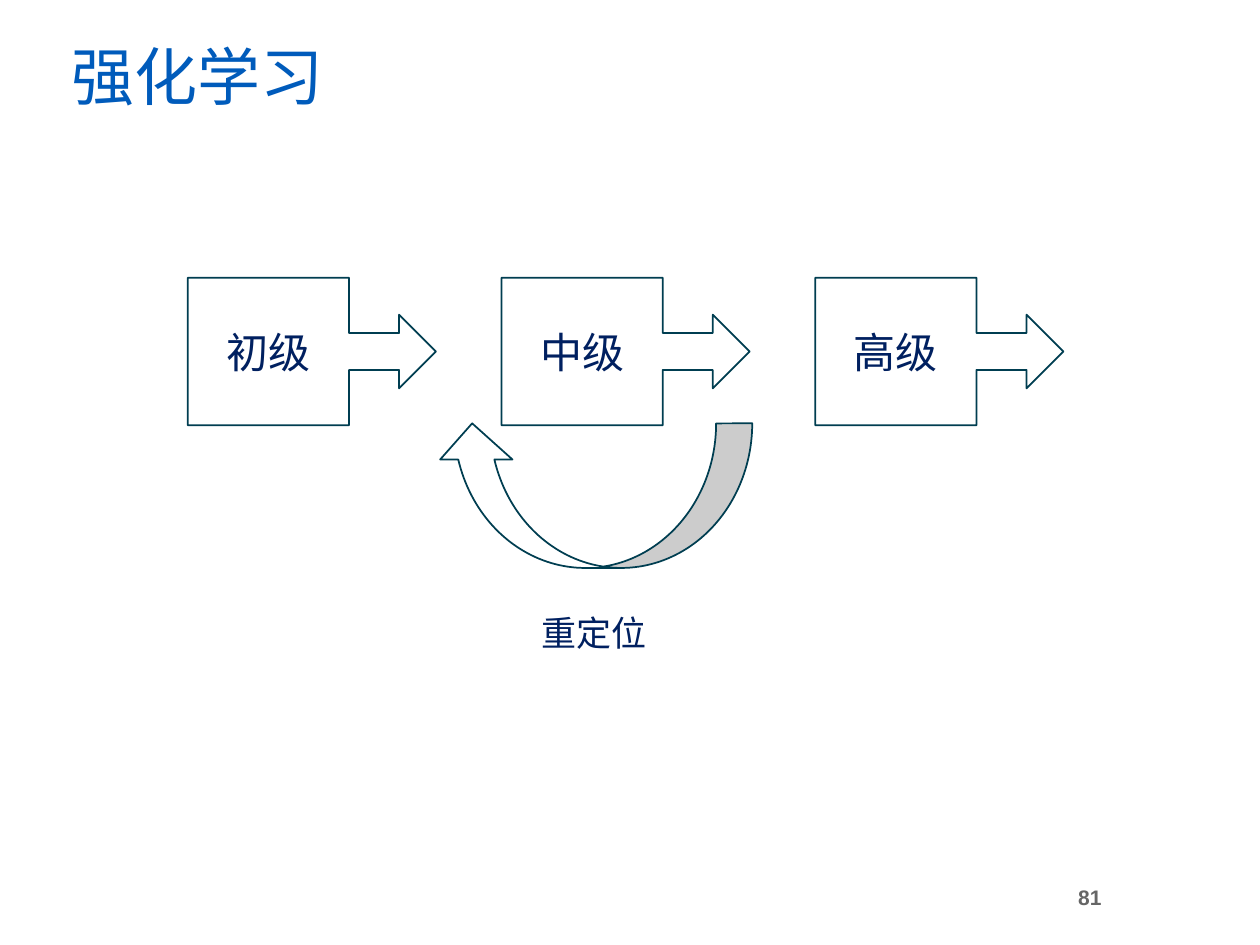
from dataclasses import dataclass

import pptx
import pptx.dml.color
import pptx.enum.shapes
import pptx.enum.text
import pptx.util

SHAPE = pptx.enum.shapes.MSO_SHAPE
ANCHOR = pptx.enum.text.MSO_ANCHOR
ALIGN = pptx.enum.text.PP_ALIGN


@dataclass(frozen=True)
class Theme:
    paper: str = "FFFFFF"
    heading: str = "005BBB"
    outline: str = "003E51"
    ink: str = "002060"
    muted: str = "666666"
    font: str = "Calibri"
    number_font: str = "Arial"
    title_size: int = 36
    stage_size: int = 24
    label_size: int = 20
    number_size: int = 12


def rgb(color):
    return pptx.dml.color.RGBColor.from_string(color)


class SlideBuilder:
    """Places elements on one slide; boxes are (left, top, width, height) shares of its size."""

    def __init__(self, deck, theme):
        self.deck = deck
        self.theme = theme
        self.slide = deck.slides.add_slide(deck.slide_layouts.get_by_name("Title Only"))
        background = self.slide.background.fill
        background.solid()
        background.fore_color.rgb = rgb(theme.paper)

    def measure(self, box):
        across, down = self.deck.slide_width, self.deck.slide_height
        return [round(share * side) for share, side in zip(box, (across, down, across, down))]

    def add_text(self, holder, text, size, color, align=ALIGN.LEFT, anchor=ANCHOR.MIDDLE,
                 font=None, bold=False):
        frame = holder.text_frame
        frame.word_wrap = True
        frame.vertical_anchor = anchor
        paragraph = frame.paragraphs[0]
        paragraph.alignment = align
        run = paragraph.add_run()
        run.text = text
        run.font.name = font or self.theme.font
        run.font.size = pptx.util.Pt(size)
        run.font.bold = bold
        run.font.color.rgb = rgb(color)
        return paragraph

    def title(self, text, box):
        heading = self.slide.shapes.title
        heading.left, heading.top, heading.width, heading.height = self.measure(box)
        heading.text_frame.auto_size = pptx.enum.text.MSO_AUTO_SIZE.NONE
        paragraph = self.add_text(heading, text, self.theme.title_size, self.theme.heading,
                                  anchor=ANCHOR.BOTTOM)
        paragraph.line_spacing = 0.9

    def outlined(self, kind, box):
        shape = self.slide.shapes.add_shape(kind, *self.measure(box))
        shape.shadow.inherit = False
        shape.fill.solid()
        shape.fill.fore_color.rgb = rgb(self.theme.paper)
        shape.line.color.rgb = rgb(self.theme.outline)
        shape.line.width = pptx.util.Pt(1)
        return shape

    def stage(self, text, box):
        callout = self.outlined(SHAPE.RIGHT_ARROW_CALLOUT, box)
        self.add_text(callout, text, self.theme.stage_size, self.theme.ink, ALIGN.CENTER)

    def return_arrow(self, box):
        self.outlined(SHAPE.CURVED_DOWN_ARROW, box).rotation = 180

    def label(self, text, box):
        caption = self.slide.shapes.add_textbox(*self.measure(box))
        self.add_text(caption, text, self.theme.label_size, self.theme.ink, anchor=ANCHOR.TOP)

    def page_number(self, text, box):
        number = self.slide.shapes.add_textbox(*self.measure(box))
        self.add_text(number, text, self.theme.number_size, self.theme.muted, ALIGN.RIGHT,
                      font=self.theme.number_font, bold=True)


def main():
    deck = pptx.Presentation()
    deck.slide_width = pptx.util.Inches(10)
    deck.slide_height = pptx.util.Inches(7.5)
    page = SlideBuilder(deck, Theme())

    # Two-decimal percentages of the slide, turned into shares by the grid step.
    page.title("强化学习", (0.047, 0, 0.862, 0.127))

    first_left, stage_pitch = 0.149, 0.249
    for column, level in enumerate(("初级", "中级", "高级")):
        page.stage(level, (first_left + column * stage_pitch, 0.294, 0.197, 0.156))

    page.return_arrow((0.346, 0.448, 0.251, 0.153))
    page.label("重定位", (0.42, 0.64, 0.127, 0.058))
    page.page_number("81", (0.825, 0.911, 0.059, 0.077))

    deck.save("out.pptx")


if __name__ == "__main__":
    main()
